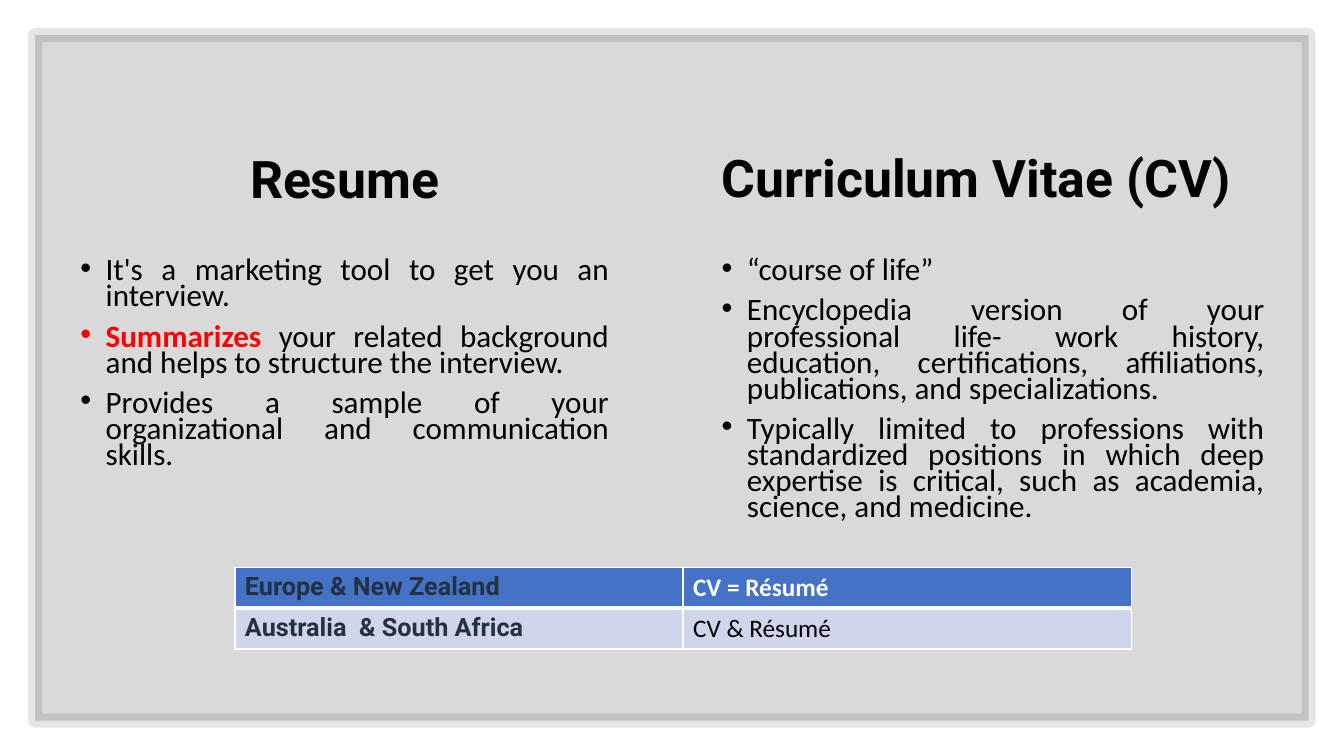
import lxml.etree
import pptx
import pptx.dml.color
import pptx.enum.shapes
import pptx.enum.text
import pptx.oxml.ns
import pptx.util
from dataclasses import dataclass

Inches = pptx.util.Inches
Pt = pptx.util.Pt
Align = pptx.enum.text.PP_ALIGN
qn = pptx.oxml.ns.qn


@dataclass(frozen=True)
class Theme:
    black: str = "000000"
    white: str = "FFFFFF"
    accent: str = "FF0000"
    label: str = "233143"
    header_fill: str = "4472C4"
    row_fill: str = "CFD5EA"
    heading_font: str = "Roboto"
    body_font: str = "Calibri"
    heading_size: float = 37
    body_size: float = 22.2
    table_size: float = 18


def rgb(colour):
    return pptx.dml.color.RGBColor.from_string(colour)


def add_span(para, text, *, font, size, colour, bold=False):
    span = para.add_run()
    span.text = text
    span.font.name = font
    span.font.size = Pt(size)
    span.font.color.rgb = rgb(colour)
    span.font.bold = bold


def set_alpha(parent, percent):
    """Make the solid fill directly inside an XML element partly transparent."""
    colour = parent.find(qn("a:solidFill"))[0]
    lxml.etree.SubElement(colour, qn("a:alpha"), val=str(percent * 1000))


def add_bullet(para, symbol="•", indent=0.25):
    props = para._p.get_or_add_pPr()
    props.set("marL", str(Inches(indent)))
    props.set("indent", str(-Inches(indent)))
    lxml.etree.SubElement(props, qn("a:buFont"), typeface="Arial")
    lxml.etree.SubElement(props, qn("a:buChar"), char=symbol)


def set_borders(cell, colour, **widths):
    """Draw the cell's edges; widths are points by edge letter L, R, T, B."""
    props = cell._tc.get_or_add_tcPr()
    for index, (edge, width) in enumerate(widths.items()):
        line = lxml.etree.Element(qn("a:ln" + edge), w=str(Pt(width)))
        fill = lxml.etree.SubElement(line, qn("a:solidFill"))
        lxml.etree.SubElement(fill, qn("a:srgbClr"), val=colour)
        props.insert(index, line)


class SlideBuilder:
    def __init__(self, page, theme):
        self.page = page
        self.theme = theme

    def panel(self, *bounds):
        box = self.page.shapes.add_shape(
            pptx.enum.shapes.MSO_SHAPE.RECTANGLE, *map(Inches, bounds))
        box.shadow.inherit = False
        box.fill.solid()
        box.fill.fore_color.rgb = rgb(self.theme.black)
        box.line.width = Pt(10)
        box.line.color.rgb = rgb(self.theme.black)
        props = box._element.spPr
        set_alpha(props, 15)
        set_alpha(props.find(qn("a:ln")), 10)

    def column(self, bounds, heading, heading_align, points):
        """Add a heading over bullets; each bullet is (accented start, rest)."""
        theme = self.theme
        box = self.page.shapes.add_textbox(*map(Inches, bounds))
        frame = box.text_frame
        frame.word_wrap = True
        title = frame.paragraphs[0]
        title.alignment = heading_align
        title.line_spacing = 0.7
        title.space_before = Pt(10)
        title.space_after = Pt(28)
        add_span(title, heading, font=theme.heading_font,
                 size=theme.heading_size, colour=theme.black, bold=True)
        for accented, rest in points:
            para = frame.add_paragraph()
            para.alignment = Align.JUSTIFY
            para.line_spacing = 0.7
            para.space_before = Pt(10)
            add_bullet(para)
            if accented:
                add_span(para, accented, font=theme.body_font,
                         size=theme.body_size, colour=theme.accent, bold=True)
            add_span(para, rest, font=theme.body_font,
                     size=theme.body_size, colour=theme.black)

    def table(self, bounds, rows):
        """Add a two-column table of region labels and the terms used there."""
        theme = self.theme
        grid = self.page.shapes.add_table(
            len(rows), len(rows[0]), *map(Inches, bounds)).table
        for r, row in enumerate(rows):
            header = r == 0
            for c, text in enumerate(row):
                is_label = c == 0
                cell = grid.cell(r, c)
                cell.fill.solid()
                cell.fill.fore_color.rgb = rgb(
                    theme.header_fill if header else theme.row_fill)
                set_borders(cell, theme.white, L=1, R=1,
                            T=3 if r == 1 else 1, B=3 if header else 1)
                term_colour = theme.white if header else theme.black
                add_span(cell.text_frame.paragraphs[0], text,
                         font=theme.heading_font if is_label else theme.body_font,
                         size=theme.table_size,
                         colour=theme.label if is_label else term_colour,
                         bold=header or is_label)


def main():
    deck = pptx.Presentation()
    deck.slide_width = Inches(13.33)
    deck.slide_height = Inches(7.5)
    blank_layout = deck.slide_layouts[6]
    builder = SlideBuilder(deck.slides.add_slide(blank_layout), Theme())

    builder.panel(0.35, 0.35, 12.63, 6.8)
    builder.column((0.7, 1.57, 5.44, 3.22), "Resume", Align.CENTER, [
        ("", "It's a marketing tool to get you an interview."),
        ("Summarizes", " your related background and helps to structure "
                       "the interview."),
        ("", "Provides a sample of your organizational and communication "
             "skills."),
    ])
    builder.column((7.06, 1.57, 5.58, 3.86), "Curriculum Vitae (CV)", Align.JUSTIFY, [
        ("", "“course of life”"),
        ("", "Encyclopedia version of your professional life- work history, "
             "education, certifications, affiliations, publications, and "
             "specializations."),
        ("", "Typically limited to professions with standardized positions in "
             "which deep expertise is critical, such as academia, science, "
             "and medicine."),
    ])
    builder.table((2.33, 5.63, 8.89, 0.81), [
        ("Europe & New Zealand", "CV = Résumé"),
        ("Australia  & South Africa", "CV & Résumé"),
    ])
    deck.save("out.pptx")


if __name__ == "__main__":
    main()
